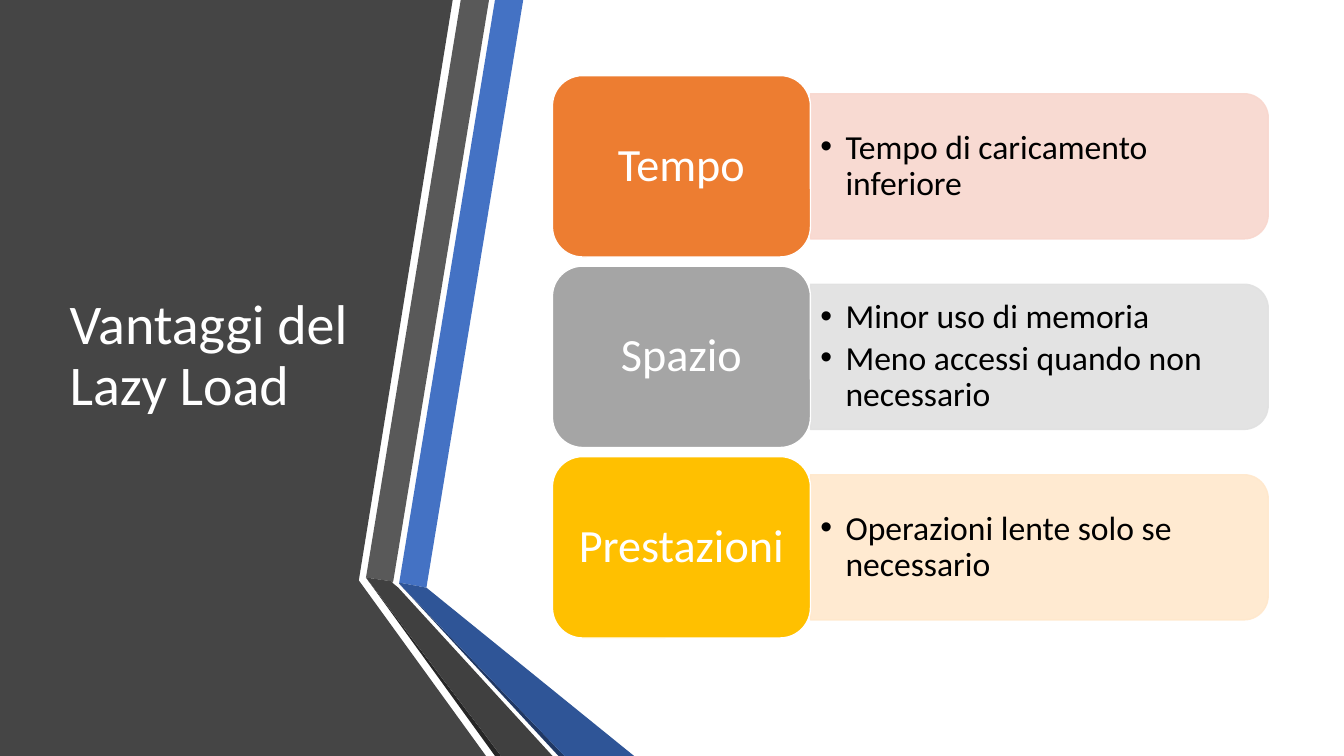
from lxml.etree import SubElement
from pptx import Presentation
from pptx.dml.color import RGBColor
from pptx.enum.shapes import MSO_SHAPE
from pptx.enum.text import MSO_ANCHOR, MSO_AUTO_SIZE, PP_ALIGN
from pptx.oxml.ns import qn
from pptx.util import Inches, Pt

WIDE, HIGH = Inches(13.33), Inches(7.5)
UNIT = Inches(0.01)  # outline points are hundredths of an inch
FONT = "Calibri"

WHITE = RGBColor(0xFF, 0xFF, 0xFF)
BLACK = RGBColor(0x00, 0x00, 0x00)
SLATE = RGBColor(0x45, 0x45, 0x45)
BLUE = RGBColor(0x44, 0x72, 0xC4)
NAVY = RGBColor(0x20, 0x38, 0x64)
DEEP = RGBColor(0x2F, 0x55, 0x97)
GRAY = RGBColor(0x59, 0x59, 0x59)
COAL = RGBColor(0x26, 0x26, 0x26)
DARK = RGBColor(0x40, 0x40, 0x40)
ORANGE = RGBColor(0xED, 0x7D, 0x31)
PEACH = RGBColor(0xF8, 0xD7, 0xCE)
SILVER = RGBColor(0xA5, 0xA5, 0xA5)
PALE = RGBColor(0xE1, 0xE1, 0xE1)
GOLD = RGBColor(0xFF, 0xC0, 0x00)
CREAM = RGBColor(0xFF, 0xE8, 0xCC)

# Rows of the list, as shares of the slide
FIRST, PITCH = 0.22, 0.252
TILE_X, TILE_W, TILE_H = 0.411, 0.192, 0.24
PANEL_X, PANEL_W, PANEL_H = 0.603, 0.3406, 0.192
LIST_W, LIST_H = 0.3353, 0.1733

# Folded band: colour and corner points, from back to front
BAND = [
    (SLATE, [(0, 0), (449, 0), (356, 575), (356, 576), (482, 750), (0, 750)]),
    (BLUE, [(396, 578), (423, 583), (519, 0), (491, 0)]),
    (GRAY, [(485, 0), (457, 0), (363, 573), (390, 577)]),
    (COAL, [(363, 573), (491, 750), (497, 750)]),
    (NAVY, [(396, 579), (554, 750), (560, 750)]),
    (DEEP, [(396, 579), (560, 750), (629, 750), (423, 583), (396, 578)]),
    (DARK, [(548, 750), (395, 583), (389, 578), (390, 577), (363, 573),
            (497, 750)]),
]

ROWS = [
    ("Tempo", ORANGE, PEACH, ["Tempo di caricamento inferiore"]),
    ("Spazio", SILVER, PALE,
     ["Minor uso di memoria", "Meno accessi quando non necessario"]),
    ("Prestazioni", GOLD, CREAM, ["Operazioni lente solo se necessario"]),
]


def box(left, mid, wide, high):
    """Turn shares of the slide, with a middle height, into lengths."""
    return (round(left * WIDE), round((mid - high / 2) * HIGH),
            round(wide * WIDE), round(high * HIGH))


def fade(shape):
    """Let a tenth of the ground show through fill and line."""
    for tint in shape._element.spPr.iter(qn("a:srgbClr")):
        SubElement(tint, qn("a:alpha"), val="90000")


def paint(shape, fill, line=None):
    shape.shadow.inherit = False
    shape.fill.solid()
    shape.fill.fore_color.rgb = fill
    if line is None:
        shape.line.fill.background()
    else:
        shape.line.color.rgb = line
        shape.line.width = Pt(1)


def style(frame, size, color, align):
    frame.word_wrap = True
    frame.auto_size = MSO_AUTO_SIZE.NONE
    frame.vertical_anchor = MSO_ANCHOR.MIDDLE
    for para in frame.paragraphs:
        para.alignment = align
        para.line_spacing = 0.9
        for run in para.runs:
            run.font.name = FONT
            run.font.size = Pt(size)
            run.font.color.rgb = color


def add_fold(slide, color, spots):
    pen = slide.shapes.build_freeform(*spots[0], scale=UNIT)
    pen.add_line_segments(spots[1:], close=True)
    paint(pen.convert_to_shape(), color)


def add_title(slide, text):
    title = slide.shapes.title
    title.left, title.top, title.width, title.height = box(
        0.0443, 0.472, 0.228, 0.744)
    title.text_frame.text = text
    style(title.text_frame, 40, WHITE, PP_ALIGN.LEFT)
    # Bring the title in front of the band
    slide.shapes._spTree.append(title._element)


def add_panel(slide, mid, color):
    left, top, wide, high = box(PANEL_X, mid, PANEL_W, PANEL_H)
    # Turned by a quarter, so width and height change places
    shift = (wide - high) // 2
    panel = slide.shapes.add_shape(MSO_SHAPE.ROUND_2_SAME_RECTANGLE,
                                   left + shift, top - shift, high, wide)
    panel.rotation = 90
    paint(panel, color, color)
    fade(panel)


def add_list(slide, mid, items):
    frame = slide.shapes.add_textbox(
        *box(PANEL_X, mid, LIST_W, LIST_H)).text_frame
    frame.text = "\n".join(items)
    style(frame, 24, BLACK, PP_ALIGN.LEFT)
    for para in frame.paragraphs:
        para.space_after = Pt(3.6)
        props = para._p.get_or_add_pPr()
        props.set("marL", str(Inches(0.25)))
        props.set("indent", str(-Inches(0.25)))
        SubElement(props, qn("a:buFont"), typeface="Arial")
        SubElement(props, qn("a:buChar"), char="•")


def add_tile(slide, mid, text, color):
    tile = slide.shapes.add_shape(MSO_SHAPE.ROUNDED_RECTANGLE,
                                  *box(TILE_X, mid, TILE_W, TILE_H))
    paint(tile, color, WHITE)
    tile.text_frame.text = text
    style(tile.text_frame, 33, WHITE, PP_ALIGN.CENTER)


def main():
    deck = Presentation()
    deck.slide_width, deck.slide_height = WIDE, HIGH
    slide = deck.slides.add_slide(deck.slide_layouts[5])

    # Band and title on the left
    for color, spots in BAND:
        add_fold(slide, color, spots)
    add_title(slide, "Vantaggi del Lazy Load")

    # One row for each benefit
    for step, (name, strong, soft, items) in enumerate(ROWS):
        mid = FIRST + step * PITCH
        add_panel(slide, mid, soft)
        add_list(slide, mid, items)
        add_tile(slide, mid, name, strong)

    deck.save("out.pptx")


if __name__ == "__main__":
    main()
